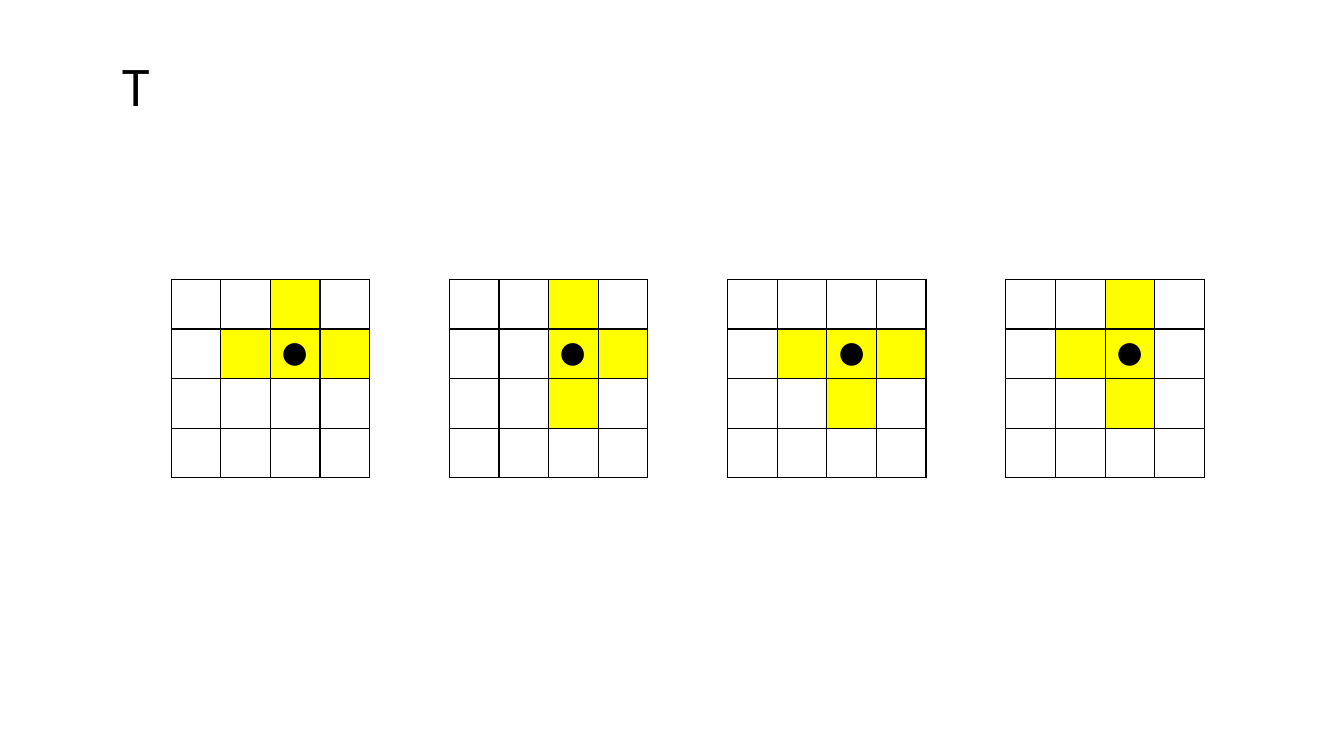
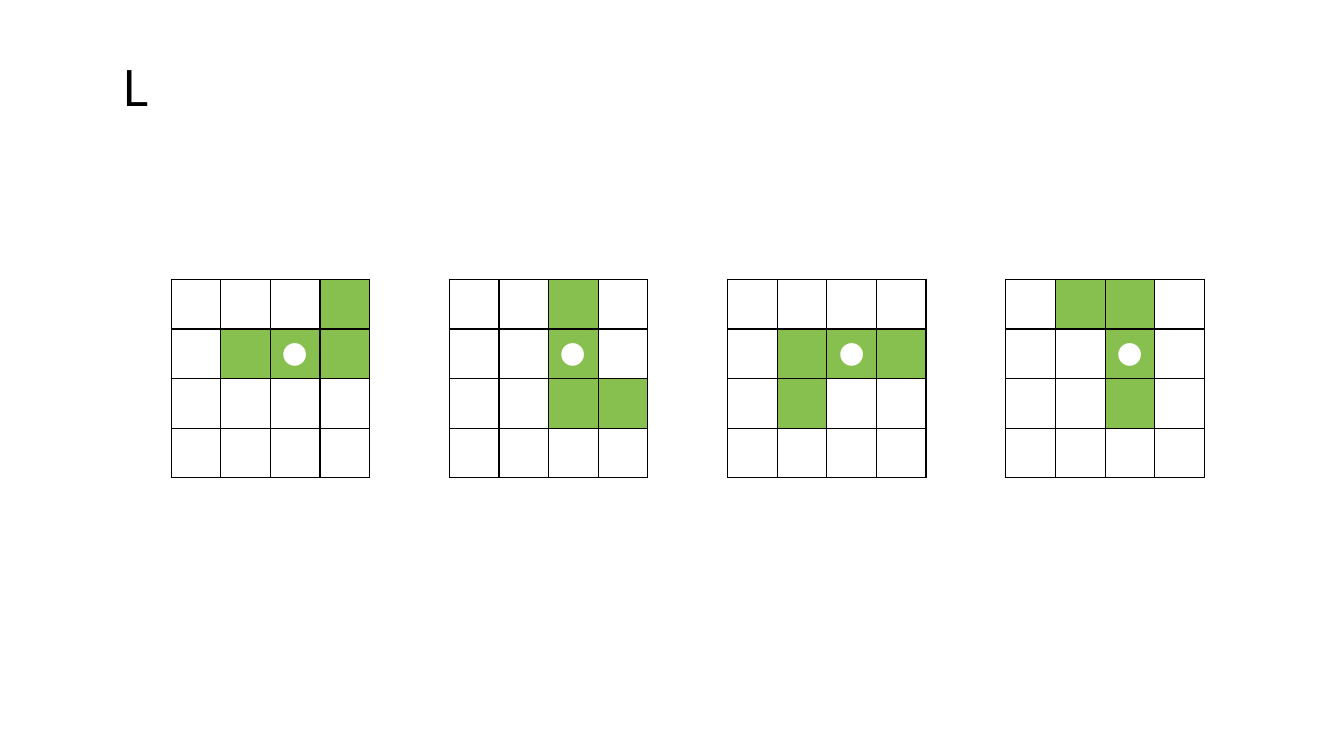
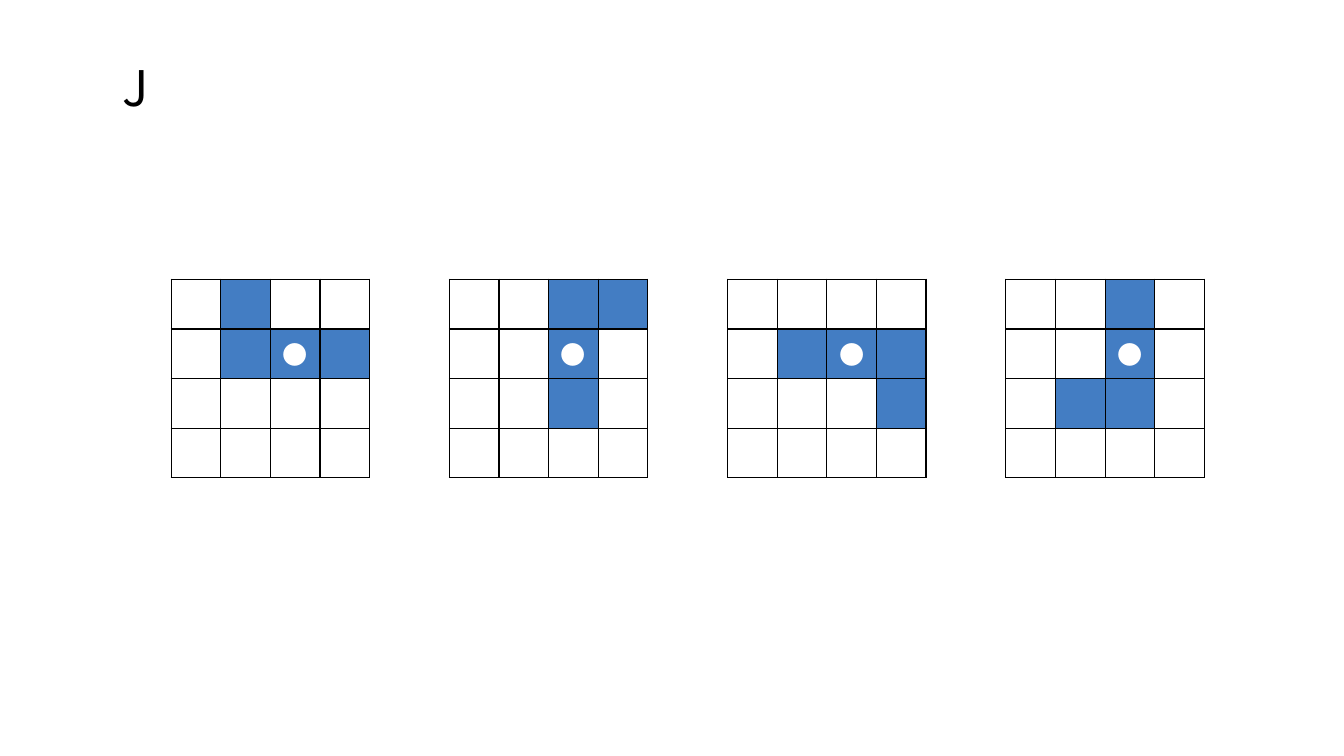
from dataclasses import dataclass

from lxml.etree import SubElement
from pptx import Presentation
from pptx.dml.color import RGBColor as Rgb
from pptx.enum.text import MSO_ANCHOR as Anchor, MSO_AUTO_SIZE as Fit, PP_ALIGN as Align
from pptx.oxml.ns import qn
from pptx.util import Pt

PX = 9525
BLANK = 6
SIZE = 4
PIVOT = (1, 2)
TITLE = (96, 50, 67, 65)
BOARD = (163, 266, 189)
PITCH = 265


@dataclass(frozen=True)
class Theme:
    font: str = "Noto Sans CJK KR"
    title: int = 35
    dot: int = 18
    line: int = 1
    black: str = "000000"
    white: str = "FFFFFF"
    yellow: str = "FFFF00"
    green: str = "87C04E"
    blue: str = "437DC3"


THEME = Theme()

# Letter, fill, dot colour, and blocks as (row, column) steps from the pivot.
BAR = [(0, -1), (0, 0), (0, 1)]
PIECES = [
    ("T", THEME.yellow, THEME.black, BAR + [(-1, 0)]),
    ("L", THEME.green, THEME.white, BAR + [(-1, 1)]),
    ("J", THEME.blue, THEME.white, BAR + [(-1, -1)]),
]


def turn(blocks):
    """Rotate the blocks a quarter turn clockwise about the pivot."""
    return [(col, -row) for row, col in blocks]


def write(frame, text, size, color):
    para = frame.paragraphs[0]
    para.text = text
    para.alignment = Align.CENTER
    font = para.font
    font.size = Pt(size)
    font.color.rgb = Rgb.from_string(color)
    font.name = THEME.font
    props = para._p.pPr.find(qn("a:defRPr"))
    SubElement(props, qn("a:ea"), typeface=THEME.font)


def paint(cell, color):
    """Give the cell its borders, then its fill."""
    props = cell._tc.get_or_add_tcPr()
    for side in ("lnL", "lnR", "lnT", "lnB"):
        line = SubElement(props, qn(f"a:{side}"), w=str(Pt(THEME.line)))
        fill = SubElement(line, qn("a:solidFill"))
        SubElement(fill, qn("a:srgbClr"), val=THEME.black)
    cell.fill.solid()
    cell.fill.fore_color.rgb = Rgb.from_string(color)


def add_title(slide, box, text):
    shape = slide.shapes.add_textbox(*(n * PX for n in box))
    frame = shape.text_frame
    frame.word_wrap = True
    frame.auto_size = Fit.SHAPE_TO_FIT_TEXT
    write(frame, text, THEME.title, THEME.black)


def add_board(slide, box, blocks, color, dot):
    left, top, side = (n * PX for n in box)
    table = slide.shapes.add_table(SIZE, SIZE, left, top, side, side).table
    table.first_row = table.horz_banding = False
    filled = {(PIVOT[0] + row, PIVOT[1] + col) for row, col in blocks}
    for row in range(SIZE):
        for col in range(SIZE):
            paint(table.cell(row, col), color if (row, col) in filled else THEME.white)
    hub = table.cell(*PIVOT)
    hub.vertical_anchor = Anchor.MIDDLE
    write(hub.text_frame, "●", THEME.dot, dot)


def add_piece(deck, letter, color, dot, blocks):
    """Add a slide with the piece in its four rotations."""
    slide = deck.slides.add_slide(deck.slide_layouts[BLANK])
    add_title(slide, TITLE, letter)
    left, top, side = BOARD
    for step in range(4):
        add_board(slide, (left + step * PITCH, top, side), blocks, color, dot)
        blocks = turn(blocks)


def main():
    deck = Presentation()
    deck.slide_width, deck.slide_height = 1280 * PX, 720 * PX
    for piece in PIECES:
        add_piece(deck, *piece)
    deck.save("out.pptx")


if __name__ == "__main__":
    main()
